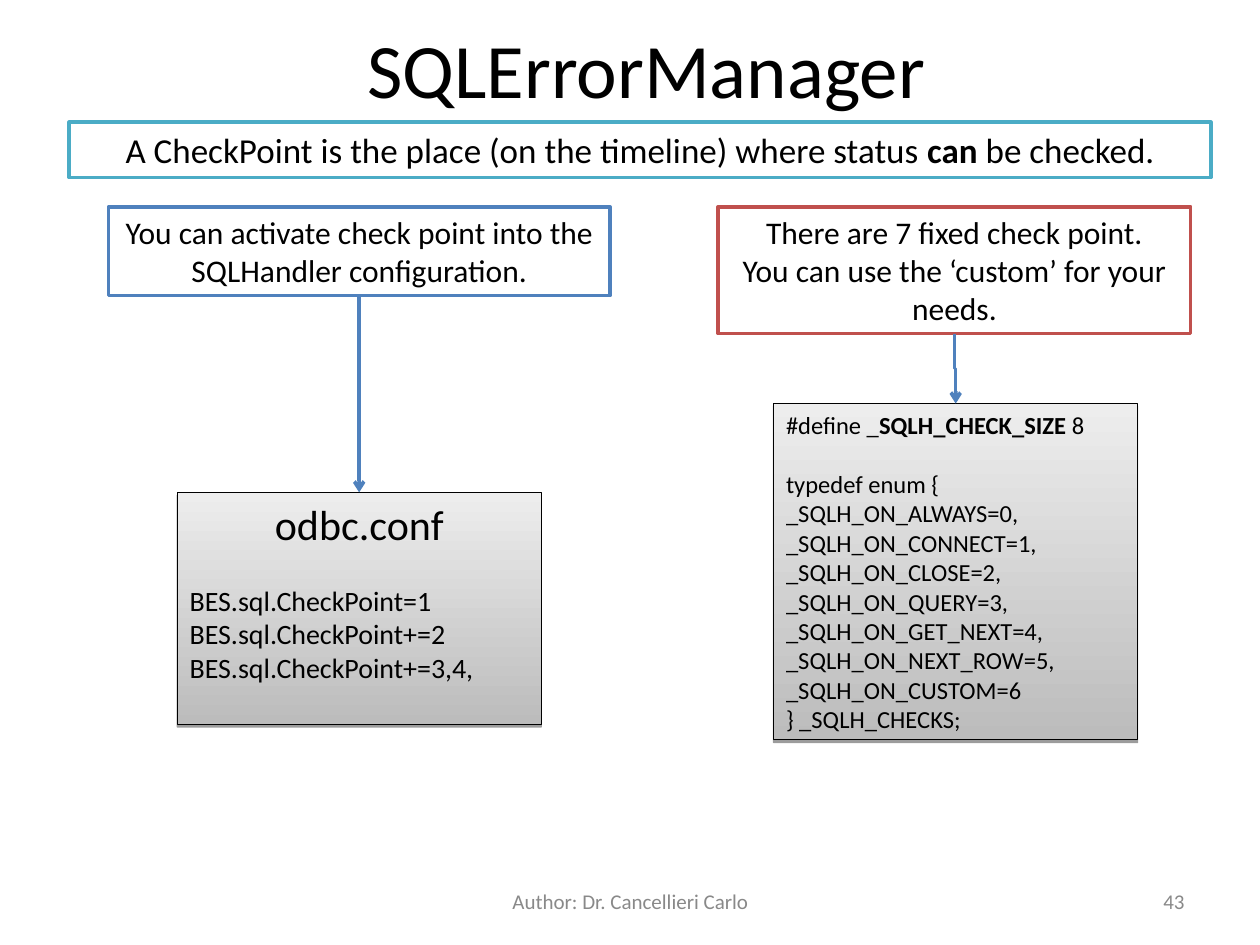
from dataclasses import dataclass

from lxml import etree
from pptx import Presentation
from pptx.dml.color import RGBColor
from pptx.enum.shapes import MSO_CONNECTOR, MSO_SHAPE
from pptx.enum.text import MSO_ANCHOR, MSO_AUTO_SIZE, PP_ALIGN
from pptx.oxml.ns import qn
from pptx.util import Pt

RECT = MSO_SHAPE.RECTANGLE
ELBOW = MSO_CONNECTOR.ELBOW
TOP, MIDDLE = MSO_ANCHOR.TOP, MSO_ANCHOR.MIDDLE
FIT, FIXED = MSO_AUTO_SIZE.SHAPE_TO_FIT_TEXT, MSO_AUTO_SIZE.NONE
LEFT, CENTER, RIGHT = PP_ALIGN.LEFT, PP_ALIGN.CENTER, PP_ALIGN.RIGHT


@dataclass(frozen=True)
class Theme:
    font: str = "Calibri"
    ink: str = "000000"
    paper: str = "FFFFFF"
    mute: str = "898989"
    blue: str = "4F81BD"
    red: str = "C0504D"
    aqua: str = "4BACC6"
    dark: str = "BCBCBC"
    pale: str = "EDEDED"
    head: float = 44
    file: float = 24
    lead: float = 20
    note: float = 18
    conf: float = 16
    code: float = 14
    foot: float = 12
    edge: float = 2
    thin: float = 0.75


THEME = Theme()


@dataclass(frozen=True)
class Run:
    text: str
    bold: bool = False


@dataclass(frozen=True)
class Line:
    runs: tuple
    size: float
    align: PP_ALIGN = CENTER
    gap: float = 0
    color: str = THEME.ink


@dataclass(frozen=True)
class Box:
    left: float
    top: float
    width: float
    height: float
    lines: tuple
    edge: str = THEME.ink
    shade: bool = False

    def frame(self) -> tuple:
        return tuple(map(Pt, (self.left, self.top, self.width, self.height)))


def plain(text: str, size: float, align: PP_ALIGN = CENTER, gap: float = 0,
          color: str = THEME.ink) -> Line:
    return Line((Run(text),), size, align, gap, color)


def write(frame, lines: tuple, anchor: MSO_ANCHOR, fit: MSO_AUTO_SIZE) -> None:
    frame.word_wrap = True
    frame.auto_size = fit
    frame.vertical_anchor = anchor
    for index, line in enumerate(lines):
        para = frame.add_paragraph() if index else frame.paragraphs[0]
        para.alignment = line.align
        if line.gap:
            para.space_before = Pt(line.gap)
        for part in line.runs:
            run = para.add_run()
            run.text = part.text
            run.font.name = THEME.font
            run.font.size = Pt(line.size)
            run.font.bold = part.bold
            run.font.color.rgb = RGBColor.from_string(line.color)


def cast(shape) -> None:
    effect = shape._element.spPr.find(qn("a:effectLst"))
    shade = etree.SubElement(effect, qn("a:outerShdw"), blurRad="0",
                             dist=str(Pt(1.6)), dir="5400000", rotWithShape="0")
    color = etree.SubElement(shade, qn("a:srgbClr"), val=THEME.ink)
    etree.SubElement(color, qn("a:alpha"), val="38000")


def draw(slide, box: Box):
    shape = slide.shapes.add_shape(RECT, *box.frame())
    shape.shadow.inherit = False
    if box.shade:
        shape.fill.gradient()
        shape.fill.gradient_angle = 90
        for stop, color in zip(shape.fill.gradient_stops, (THEME.dark, THEME.pale)):
            stop.color.rgb = RGBColor.from_string(color)
        cast(shape)
    else:
        shape.fill.solid()
        shape.fill.fore_color.rgb = RGBColor.from_string(THEME.paper)
    shape.line.color.rgb = RGBColor.from_string(box.edge)
    shape.line.width = Pt(THEME.thin if box.shade else THEME.edge)
    write(shape.text_frame, box.lines, TOP, FIT)
    return shape


def join(slide, above, below) -> None:
    start, end = above.left + above.width // 2, below.left + below.width // 2
    high, low = above.top + above.height, below.top
    link = slide.shapes.add_connector(ELBOW, start, high, end, low)
    link.begin_connect(above, 2)
    link.end_connect(below, 0)
    link.width, link.height = low - high, abs(end - start)
    link.left = (start + end - link.width) // 2
    link.top = (high + low - link.height) // 2
    props = link._element.spPr
    frame = props.find(qn("a:xfrm"))
    frame.set("rot", "16200000")
    frame.set("flipH", "1")
    link.line.color.rgb = RGBColor.from_string(THEME.blue)
    link.line.width = Pt(THEME.edge)
    etree.SubElement(props.find(qn("a:ln")), qn("a:tailEnd"), type="arrow")
    etree.SubElement(props, qn("a:effectLst"))


def label(slide, box: Box) -> None:
    text = slide.shapes.add_textbox(*box.frame())
    write(text.text_frame, box.lines, MIDDLE, FIXED)


CONF = ("BES.sql.CheckPoint=1", "BES.sql.CheckPoint+=2", "BES.sql.CheckPoint+=3,4,")
ENUM = ("typedef enum {", "_SQLH_ON_ALWAYS=0,", "_SQLH_ON_CONNECT=1,",
        "_SQLH_ON_CLOSE=2,", "_SQLH_ON_QUERY=3,", "_SQLH_ON_GET_NEXT=4,",
        "_SQLH_ON_NEXT_ROW=5,", "_SQLH_ON_CUSTOM=6", "} _SQLH_CHECKS;")

HEAD = Box(63.4, 0, 612, 77.8, (plain("SQLErrorManager", THEME.head),))
LEAD = Box(39.6, 69.8, 652.3, 31.7, (Line((
    Run("A CheckPoint is the place (on the timeline) where status "),
    Run("can", True), Run(" be checked.")), THEME.lead),), THEME.aqua)
PAIRS = (
    (Box(62, 118.2, 286.6, 50.8, (
        plain("You can activate check point into the SQLHandler configuration.",
              THEME.note),), THEME.blue),
     Box(101.3, 281.4, 208, 132.5, (
         plain("odbc.conf", THEME.file),
         *(plain(text, THEME.conf, LEFT, 0 if index else 19.5)
           for index, text in enumerate(CONF))), shade=True)),
    (Box(410.4, 118.2, 270, 72.4, (
        plain("There are 7 fixed check point.", THEME.note),
        plain("You can use the ‘custom’ for your needs.", THEME.note)), THEME.red),
     Box(442.1, 230.6, 208, 192.2, (
         Line((Run("#define _"), Run("SQLH_CHECK_SIZE", True), Run(" 8")),
              THEME.code, LEFT),
         *(plain(text, THEME.code, LEFT, 0 if index else 17)
           for index, text in enumerate(ENUM))), shade=True)),
)
FOOT = (
    Box(516.2, 500.4, 167.8, 28.8, (plain("43", THEME.foot, RIGHT, color=THEME.mute),)),
    Box(246.2, 500.4, 228.2, 28.8, (
        plain("Author: Dr. Cancellieri Carlo", THEME.foot, color=THEME.mute),)),
)


def main() -> None:
    deck = Presentation()
    deck.slide_width, deck.slide_height = Pt(720), Pt(540)
    slide = deck.slides.add_slide(deck.slide_layouts[5])
    title = slide.shapes.title
    title.left, title.top, title.width, title.height = HEAD.frame()
    write(title.text_frame, HEAD.lines, MIDDLE, FIXED)
    for note, code in PAIRS:
        below = draw(slide, code)
        join(slide, draw(slide, note), below)
    for box in FOOT:
        label(slide, box)
    draw(slide, LEAD)
    deck.save("out.pptx")


if __name__ == "__main__":
    main()
